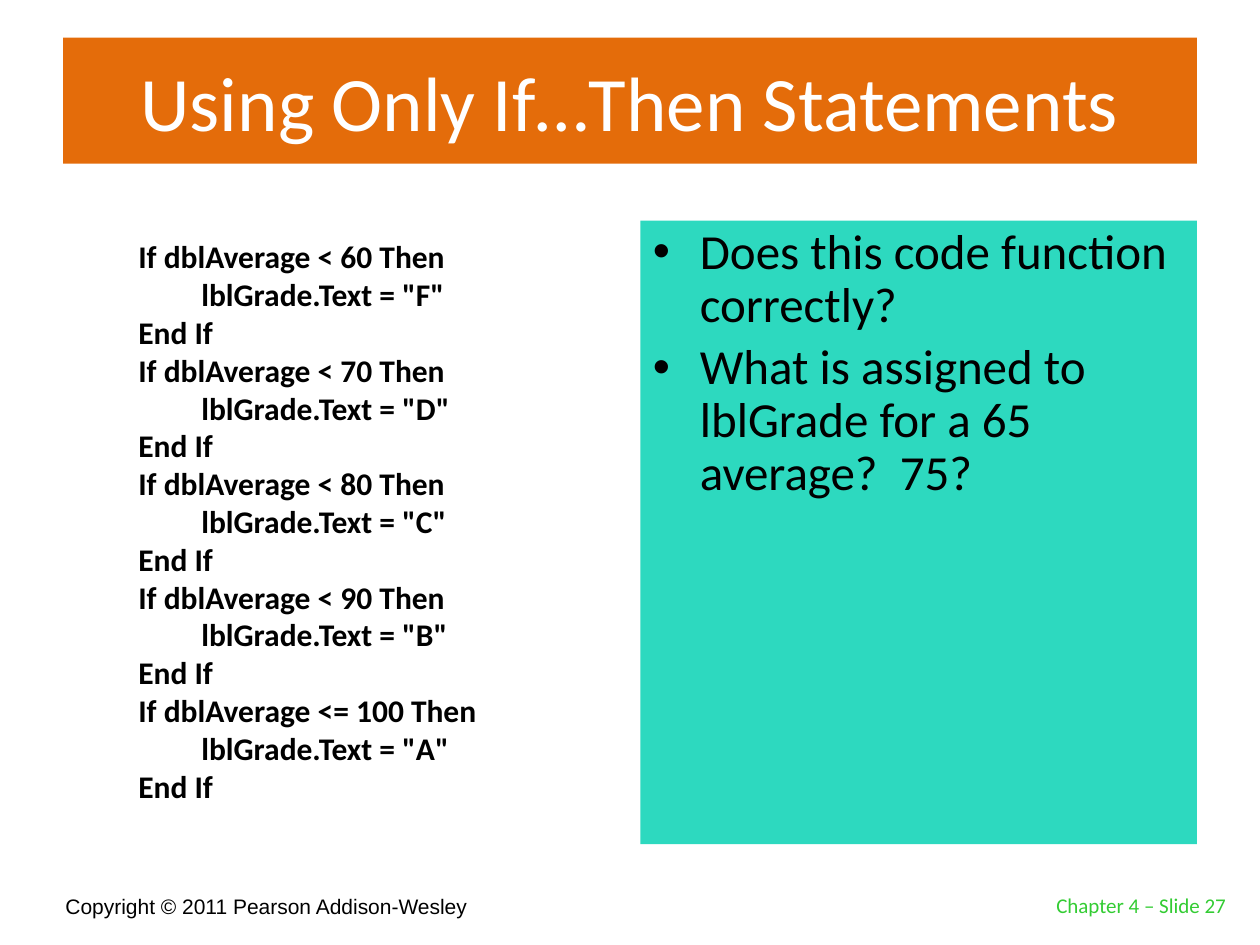
"""Build the slide about grading with separate If…Then statements."""
from dataclasses import dataclass

from lxml import etree
from pptx import Presentation
from pptx.dml.color import RGBColor
from pptx.enum.text import MSO_ANCHOR, MSO_AUTO_SIZE, PP_ALIGN
from pptx.oxml.ns import qn
from pptx.util import Cm, Pt

TOP, MIDDLE, BOTTOM = MSO_ANCHOR.TOP, MSO_ANCHOR.MIDDLE, MSO_ANCHOR.BOTTOM
LEFT, CENTER, RIGHT = PP_ALIGN.LEFT, PP_ALIGN.CENTER, PP_ALIGN.RIGHT
NO_AUTOFIT = MSO_AUTO_SIZE.NONE
TITLE_ONLY = 5
BULLET_INDENT = Cm(0.95)
COLORS = {
    "orange": "E46C0A",
    "teal": "2DD9BF",
    "green": "33CC33",
    "black": "000000",
    "white": "FFFFFF",
}


@dataclass(frozen=True)
class Area:
    left: float
    top: float
    width: float
    height: float


@dataclass(frozen=True)
class GradeRule:
    condition: str
    grade: str

    def lines(self) -> list[str]:
        return [
            f"If dblAverage {self.condition} Then",
            f'\tlblGrade.Text = "{self.grade}"',
            "End If",
        ]


TITLE_AREA = Area(1.27, 0.76, 22.86, 2.54)
CODE_AREA = Area(2.54, 4.66, 9.1, 12.21)
QUESTION_AREA = Area(12.91, 4.45, 11.22, 12.57)
COPYRIGHT_AREA = Area(1.07, 17.57, 15.44, 1.07)
SLIDE_NUMBER_AREA = Area(19.69, 17.35, 5.28, 1.27)

GRADE_RULES = [
    GradeRule("< 60", "F"),
    GradeRule("< 70", "D"),
    GradeRule("< 80", "C"),
    GradeRule("< 90", "B"),
    GradeRule("<= 100", "A"),
]
QUESTIONS = [
    "Does this code function correctly?",
    "What is assigned to lblGrade for a 65 average?  75?",
]


def add_bullet(paragraph) -> None:
    properties = paragraph._p.get_or_add_pPr()
    properties.set("marL", str(BULLET_INDENT))
    properties.set("indent", str(-BULLET_INDENT))
    etree.SubElement(properties, qn("a:buFont"), typeface="Arial")
    etree.SubElement(properties, qn("a:buChar"), char="•")


def write_text(shape, lines: list[str], *, area: Area, size: float,
               color: str = "black", font: str = "Calibri", bold: bool = False,
               align=LEFT, anchor=TOP, fill: str | None = None,
               bullets: bool = False, line_spacing: float = 1.0,
               gap: float = 0) -> None:
    shape.left, shape.top = Cm(area.left), Cm(area.top)
    shape.width, shape.height = Cm(area.width), Cm(area.height)
    if fill:
        shape.fill.solid()
        shape.fill.fore_color.rgb = RGBColor.from_string(COLORS[fill])
    frame = shape.text_frame
    frame.word_wrap = True
    frame.auto_size = NO_AUTOFIT
    frame.vertical_anchor = anchor
    for index, line in enumerate(lines):
        paragraph = frame.add_paragraph() if index else frame.paragraphs[0]
        if bullets:
            add_bullet(paragraph)
        paragraph.alignment = align
        paragraph.line_spacing = line_spacing
        paragraph.space_before = Pt(gap if index else 0)
        run = paragraph.add_run()
        run.text = line
        run.font.name = font
        run.font.size = Pt(size)
        run.font.bold = bold
        run.font.color.rgb = RGBColor.from_string(COLORS[color])


def add_text(slide, lines: list[str], **text_format) -> None:
    write_text(slide.shapes.add_textbox(0, 0, 0, 0), lines, **text_format)


def main() -> None:
    presentation = Presentation()
    presentation.slide_width, presentation.slide_height = Cm(25.4), Cm(19.05)
    slide = presentation.slides.add_slide(presentation.slide_layouts[TITLE_ONLY])

    write_text(slide.shapes.title, ["Using Only If…Then Statements"],
               area=TITLE_AREA, size=44, color="white", fill="orange",
               align=CENTER, anchor=MIDDLE)
    add_text(slide, QUESTIONS, area=QUESTION_AREA, size=28, fill="teal",
             bullets=True, line_spacing=0.9, gap=5.6)
    code_lines = [line for rule in GRADE_RULES for line in rule.lines()]
    add_text(slide, code_lines, area=CODE_AREA, size=18, bold=True)
    add_text(slide, ["Copyright © 2011 Pearson Addison-Wesley"],
             area=COPYRIGHT_AREA, size=12, font="Arial", anchor=BOTTOM)
    add_text(slide, ["Chapter 4 – Slide 27"], area=SLIDE_NUMBER_AREA, size=12,
             color="green", align=RIGHT, anchor=BOTTOM)

    presentation.save("out.pptx")


if __name__ == "__main__":
    main()
